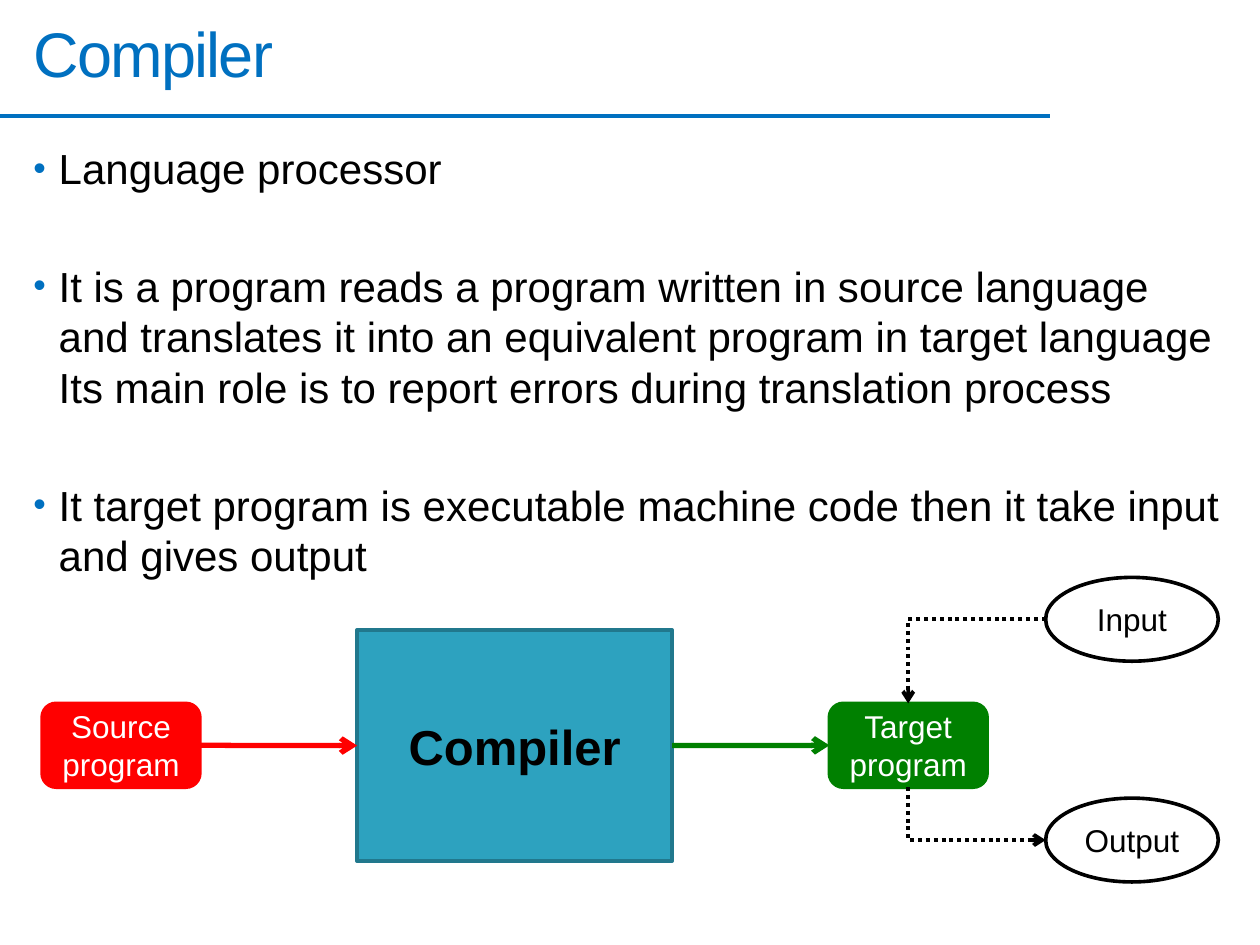
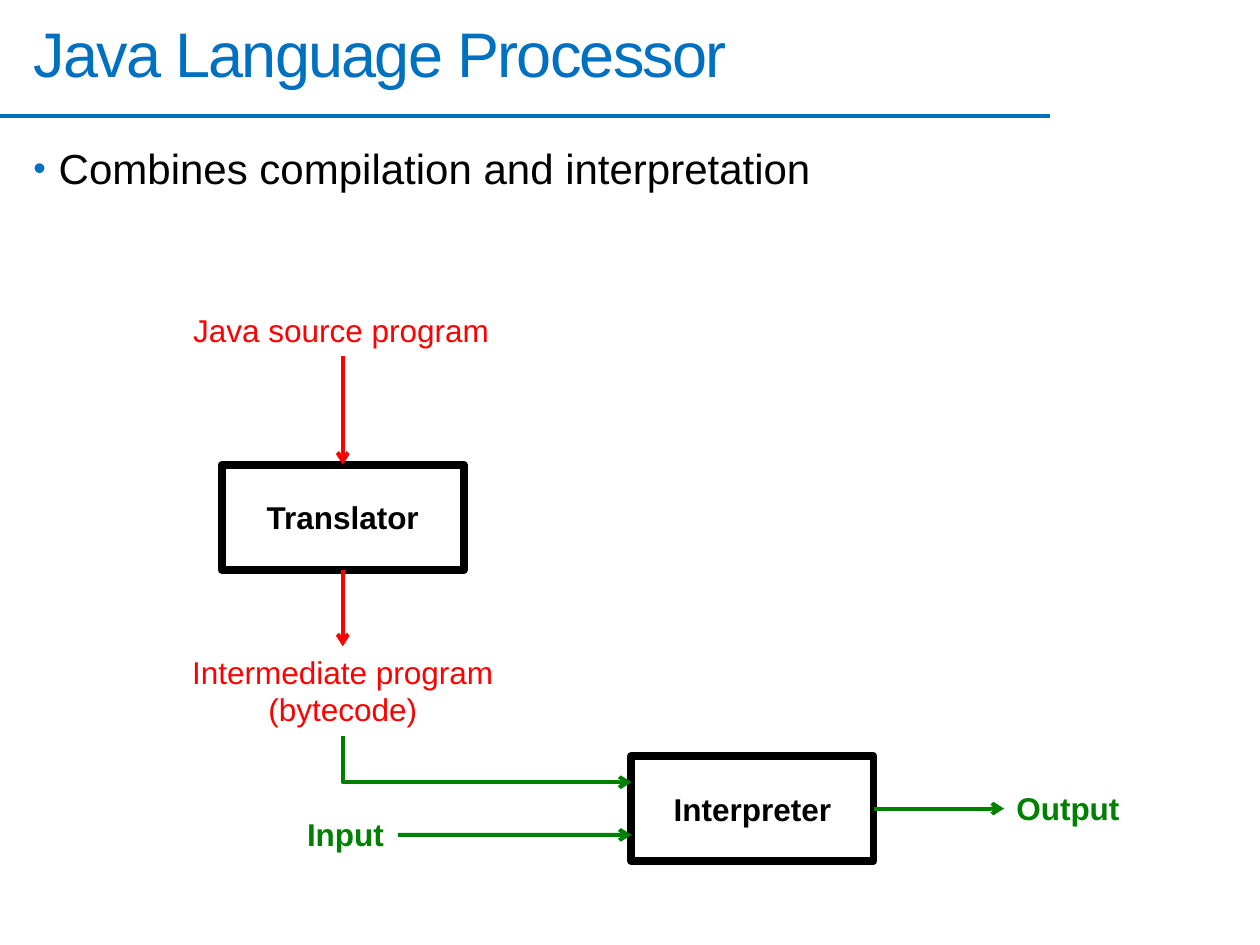
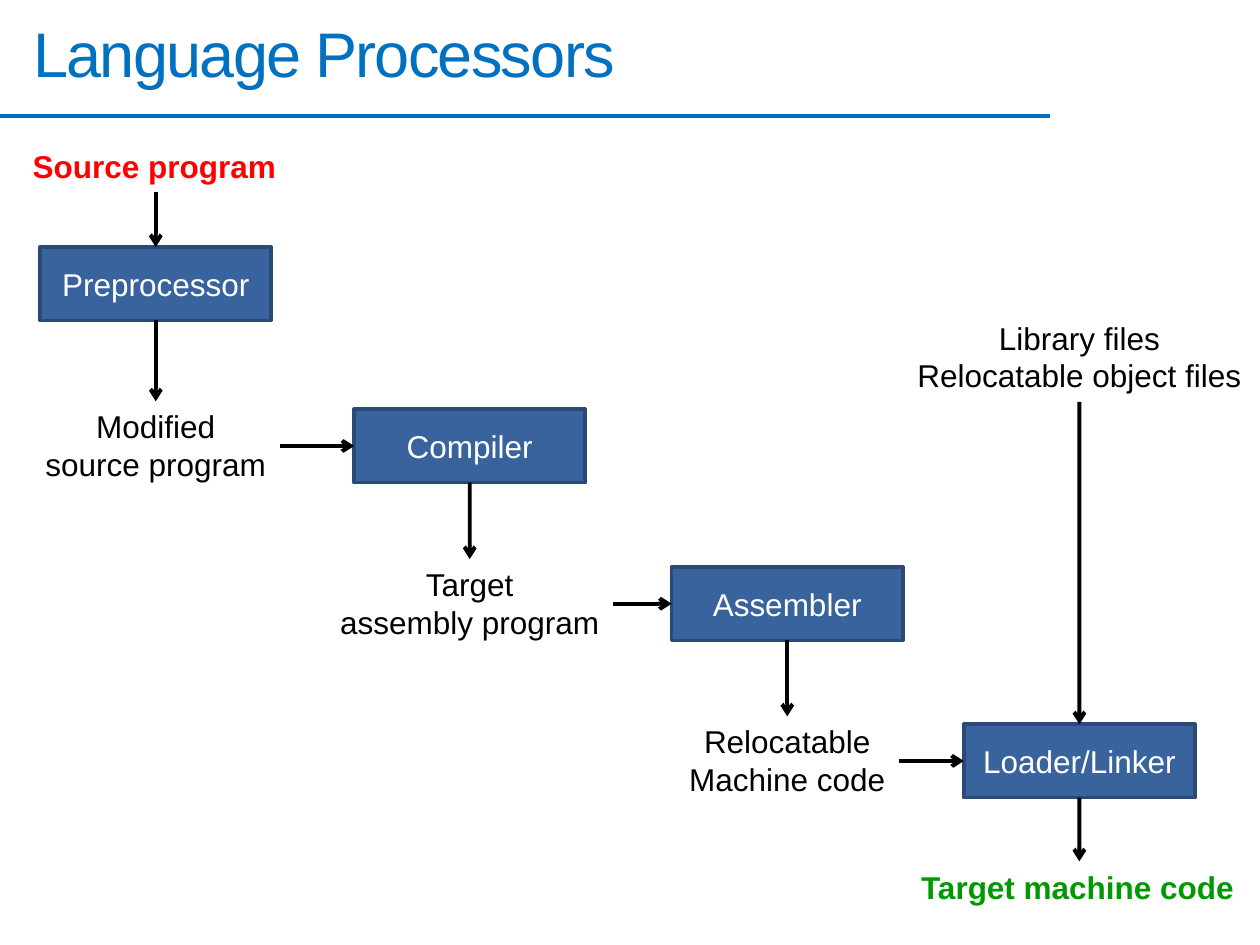
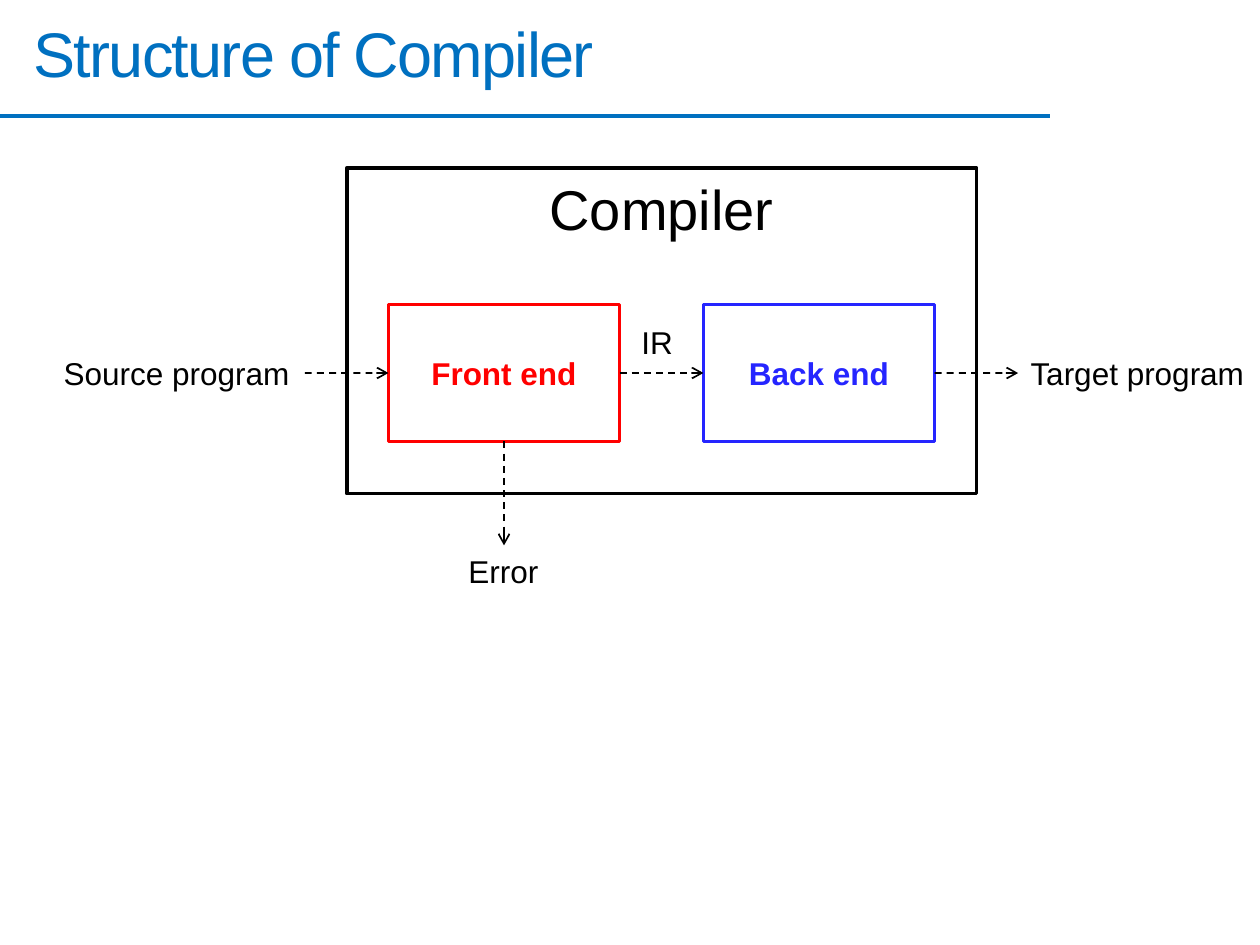
"""Build four slides on compilers and language processors."""
from dataclasses import dataclass

from lxml.etree import SubElement
from pptx import Presentation
from pptx.dml.color import RGBColor
from pptx.enum.dml import MSO_LINE
from pptx.enum.shapes import MSO_CONNECTOR, MSO_SHAPE
from pptx.enum.text import MSO_ANCHOR, MSO_AUTO_SIZE, PP_ALIGN
from pptx.oxml.ns import qn
from pptx.util import Cm, Pt

TOP, LEFT, BOTTOM, RIGHT = range(4)
SIDES = ((0.5, 0), (0, 0.5), (0.5, 1), (1, 0.5))


@dataclass(frozen=True)
class Theme:
    font: str = "Arial"
    accent: str = "0070C0"
    black: str = "000000"
    white: str = "FFFFFF"
    red: str = "FF0000"
    green: str = "008000"
    leaf: str = "009900"
    teal: str = "2DA2BF"
    teal_edge: str = "21788D"
    navy: str = "39639D"
    navy_edge: str = "2A4974"
    blue: str = "2525FF"
    title: int = 36
    large: int = 32
    block: int = 28
    body: int = 24
    text: int = 18
    gap: float = 38.5
    edge: float = 2.08
    thick: float = 4.5
    line: float = 2.25
    bold_line: float = 3
    thin: float = 1


class Deck:
    def __init__(self, theme):
        self.theme = theme
        self.prs = Presentation()
        self.prs.slide_width, self.prs.slide_height = Cm(25.4), Cm(19.05)
        self.slide = None

    def style(self, par, size, color, bold=False, align=PP_ALIGN.CENTER):
        par.alignment = align
        font = par.font
        font.name, font.size, font.bold = self.theme.font, Pt(size), bold
        font.color.rgb = RGBColor.from_string(color)

    def place(self, shape, left, top, width, height):
        shape.left, shape.top = Cm(left), Cm(top)
        shape.width, shape.height = Cm(width), Cm(height)

    def page(self, title, items=()):
        layout = self.prs.slide_layouts[1 if items else 5]
        first = self.slide is None
        self.slide = self.prs.slides.add_slide(layout)
        if first:
            self.rule()
        head = self.slide.shapes.title
        self.place(head, 0.42, 0.21, 23.07, 1.69)
        frame = head.text_frame
        frame.text = title
        frame.auto_size = MSO_AUTO_SIZE.NONE
        frame.vertical_anchor = MSO_ANCHOR.MIDDLE
        self.style(frame.paragraphs[0], self.theme.title, self.theme.accent,
                   align=PP_ALIGN.LEFT)
        for props in head.element.iter(qn("a:defRPr")):
            props.set("spc", "-100")
        if items:
            self.bullets(items)

    def rule(self):
        line = self.slide.shapes.add_connector(
            MSO_CONNECTOR.STRAIGHT, 0, Cm(2.33), Cm(21.17), Cm(2.33))
        self.stroke(line, self.theme.accent, self.theme.line)
        self.prs.slide_master.element.cSld.spTree.append(line.element)

    def bullets(self, items):
        body = self.slide.placeholders[1]
        self.place(body, 0.42, 2.75, 24.55, 15.03)
        frame = body.text_frame
        frame.auto_size = MSO_AUTO_SIZE.NONE
        for index, item in enumerate(items):
            par = frame.add_paragraph() if index else frame.paragraphs[0]
            par.text = item
            props = par._p.get_or_add_pPr()
            props.set("marL", str(Cm(0.51)))
            props.set("indent", str(Cm(-0.51)))
            paint = SubElement(props, qn("a:buClr"))
            SubElement(paint, qn("a:srgbClr"), val=self.theme.accent)
            SubElement(props, qn("a:buSzPct"), val="85000")
            SubElement(props, qn("a:buFont"), typeface=self.theme.font)
            SubElement(props, qn("a:buChar"), char="•")
            par.space_before = Pt(self.theme.gap if index else 0)
            self.style(par, self.theme.body, self.theme.black,
                       align=PP_ALIGN.LEFT)

    def box(self, text, left, top, width, height, edge, fill=None, color=None,
            size=None, bold=False, weight=None, kind=MSO_SHAPE.RECTANGLE,
            anchor=MSO_ANCHOR.MIDDLE):
        shape = self.slide.shapes.add_shape(
            kind, Cm(left), Cm(top), Cm(width), Cm(height))
        shape.shadow.inherit = False
        if fill:
            shape.fill.solid()
            shape.fill.fore_color.rgb = RGBColor.from_string(fill)
        else:
            shape.fill.background()
        shape.line.color.rgb = RGBColor.from_string(edge)
        shape.line.width = Pt(weight or self.theme.edge)
        frame = shape.text_frame
        frame.text = text
        frame.word_wrap = True
        frame.vertical_anchor = anchor
        for par in frame.paragraphs:
            self.style(par, size or self.theme.text, color or edge, bold)
        return shape

    def label(self, text, mid_x, mid_y, width, color=None, bold=False):
        lines = text.count("\n") + 1
        height = 0.26 + 0.77 * lines
        shape = self.slide.shapes.add_textbox(
            Cm(mid_x - width / 2), Cm(mid_y - height / 2), Cm(width), Cm(height))
        frame = shape.text_frame
        frame.text = text
        frame.word_wrap = False
        frame.auto_size = MSO_AUTO_SIZE.SHAPE_TO_FIT_TEXT
        align = PP_ALIGN.CENTER if lines > 1 else PP_ALIGN.LEFT
        for par in frame.paragraphs:
            self.style(par, self.theme.text, color or self.theme.black, bold, align)
        return shape

    def stroke(self, line, color, weight, dash=None, head=False):
        line.line.color.rgb = RGBColor.from_string(color)
        line.line.width = Pt(weight)
        if dash:
            line.line.dash_style = dash
        props = line.element.spPr
        if head:
            SubElement(props.find(qn("a:ln")), qn("a:tailEnd"), type="arrow")
        SubElement(props, qn("a:effectLst"))

    def spot(self, shape, side):
        across, down = SIDES[side] if isinstance(side, int) else side
        return (int(shape.left + shape.width * across),
                int(shape.top + shape.height * down))

    def arrow(self, start, end, color=None, weight=None, dash=None):
        line = self.slide.shapes.add_connector(
            MSO_CONNECTOR.STRAIGHT, *self.spot(*start), *self.spot(*end))
        for join, (shape, side) in ((line.begin_connect, start),
                                    (line.end_connect, end)):
            if isinstance(side, int):
                join(shape, side)
        self.stroke(line, color or self.theme.black, weight or self.theme.line,
                    dash, head=True)

    def elbow(self, start, end, color, dash=None, down=False):
        x1, y1 = self.spot(*start)
        x2, y2 = self.spot(*end)
        if down:
            mid_x, mid_y = (x1 + x2) // 2, (y1 + y2) // 2
            half_w, half_h = (x2 - x1) // 2, (y2 - y1) // 2
            x1, x2 = mid_x + half_h, mid_x - half_h
            y1, y2 = mid_y - half_w, mid_y + half_w
        line = self.slide.shapes.add_connector(MSO_CONNECTOR.ELBOW, x1, y1, x2, y2)
        props = line.element.spPr
        props.find(qn("a:prstGeom")).set("prst", "bentConnector2")
        if down:
            props.find(qn("a:xfrm")).set("rot", str(270 * 60000))
        self.stroke(line, color, self.theme.line, dash, head=True)


def compiler(deck):
    look = deck.theme
    deck.page("Compiler", (
        "Language processor",
        "It is a program reads a program written in source language and "
        "translates it into an equivalent program in target language\n"
        "Its main role is to report errors during translation process",
        "It target program is executable machine code then it take input "
        "and gives output"))
    block = deck.box("Compiler", 7.2, 12.7, 6.35, 4.66, look.teal_edge, look.teal,
                     look.black, look.block, bold=True)
    source, target = [
        deck.box(text, left, 14.18, 3.18, 1.69, fill, fill, look.white,
                 kind=MSO_SHAPE.ROUNDED_RECTANGLE)
        for text, left, fill in (("Source program", 0.85, look.red),
                                 ("Target\nprogram", 16.72, look.green))]
    deck.arrow((source, RIGHT), (block, LEFT), look.red, look.bold_line)
    deck.arrow((block, RIGHT), (target, LEFT), look.green, look.bold_line)
    feed, yield_ = [
        deck.box(text, 21.08, top, 3.48, 1.69, look.black, kind=MSO_SHAPE.OVAL)
        for text, top in (("Input", 11.64), ("Output", 16.09))]
    dots = MSO_LINE.ROUND_DOT
    deck.elbow((feed, LEFT), (target, TOP), look.black, dots)
    deck.elbow((target, BOTTOM), (yield_, LEFT), look.black, dots, down=True)


def java(deck):
    look = deck.theme
    deck.page("Java Language Processor", ("Combines compilation and interpretation",))
    first, second = [
        deck.box(text, left, top, 4.88, 2.12, look.black, bold=True,
                 weight=look.thick)
        for text, left, top in (("Translator", 4.47, 9.37),
                                ("Interpreter", 12.73, 15.24))]
    source = deck.label("Java source program", 6.91, 6.66, 6.53, look.red)
    deck.arrow((source, BOTTOM), (first, TOP), look.red)
    code = deck.label("Intermediate program\n(bytecode)", 6.91, 13.93, 6.63, look.red)
    deck.arrow((first, BOTTOM), (code, TOP), look.red)
    feed = deck.label("Input", 6.98, 16.83, 2.08, look.green, bold=True)
    result = deck.label("Output", 21.55, 16.3, 2.62, look.green, bold=True)
    deck.arrow((feed, RIGHT), (second, (0, 0.75)), look.green)
    deck.elbow((code, BOTTOM), (second, (0, 0.25)), look.green, down=True)
    deck.arrow((second, RIGHT), (result, LEFT), look.green)


def chain(deck):
    look = deck.theme
    deck.page("Language Processors")
    wide, high = 4.66, 1.48
    steps = (("Preprocessor", 0.81, 4.98), ("Compiler", 7.14, 8.25),
             ("Assembler", 13.54, 11.43), ("Loader/Linker", 19.43, 14.6))
    boxes = [deck.box(text, left, top, wide, high, look.navy_edge, look.navy,
                      look.white) for text, left, top in steps]
    mids = [(left + wide / 2, top + high / 2) for _, left, top in steps]
    first_x, last_x = mids[0][0], mids[-1][0]
    source = deck.label("Source program", first_x, 3.35, 5.46, look.red, bold=True)
    forms = (("Modified\nsource program", 5), ("Target\nassembly program", 5.79),
             ("Relocatable\nMachine code", 4.5))
    labels = [deck.label(text, here[0], after[1], width)
              for (text, width), here, after in zip(forms, mids, mids[1:])]
    files = deck.label("Library files\nRelocatable object files", last_x, 7.2, 7.11)
    target = deck.label("Target machine code", last_x, 17.88, 6.88, look.leaf,
                        bold=True)
    deck.arrow((source, BOTTOM), (boxes[0], TOP))
    for here, form, after in zip(boxes, labels, boxes[1:]):
        deck.arrow((here, BOTTOM), (form, TOP))
        deck.arrow((form, RIGHT), (after, LEFT))
    deck.arrow((files, BOTTOM), (boxes[-1], TOP))
    deck.arrow((boxes[-1], BOTTOM), (target, TOP))


def structure(deck):
    look = deck.theme
    deck.page("Structure of Compiler")
    deck.box("Compiler", 6.99, 3.39, 12.7, 6.56, look.black, size=look.large,
             anchor=MSO_ANCHOR.TOP)
    front, back = [
        deck.box(text, left, 6.14, 4.66, 2.76, color, bold=True)
        for text, left, color in (("Front end", 7.83, look.red),
                                  ("Back end", 14.18, look.blue))]
    source, target, _, error = [deck.label(*item) for item in (
        ("Source program", 3.59, 7.52, 5.11), ("Target program", 22.95, 7.52, 4.85),
        ("IR", 13.25, 6.91, 1.14), ("Error", 10.16, 11.51, 1.93))]
    for start, end in (((source, RIGHT), (front, LEFT)),
                       ((front, RIGHT), (back, LEFT)),
                       ((back, RIGHT), (target, LEFT)),
                       ((front, BOTTOM), (error, TOP))):
        deck.arrow(start, end, weight=look.thin, dash=MSO_LINE.DASH)


def main():
    deck = Deck(Theme())
    for build in (compiler, java, chain, structure):
        build(deck)
    deck.prs.save("out.pptx")


if __name__ == "__main__":
    main()
